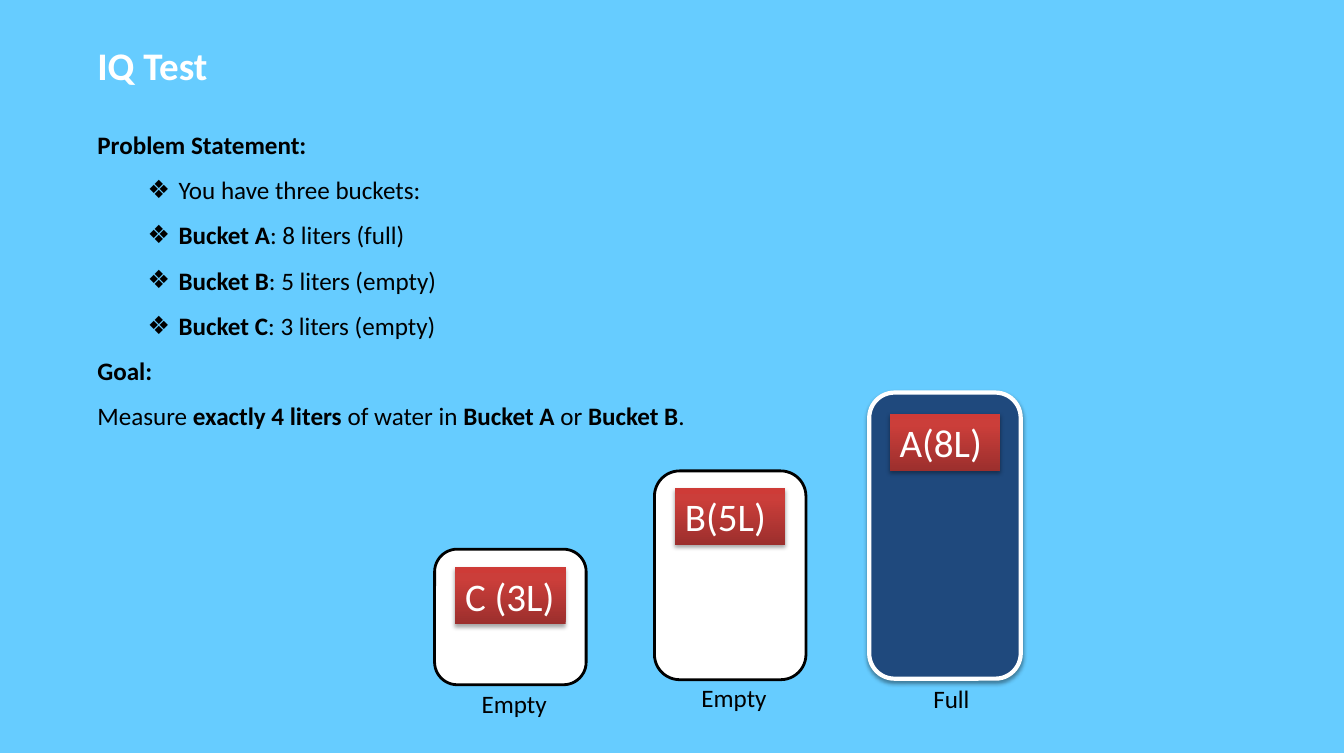
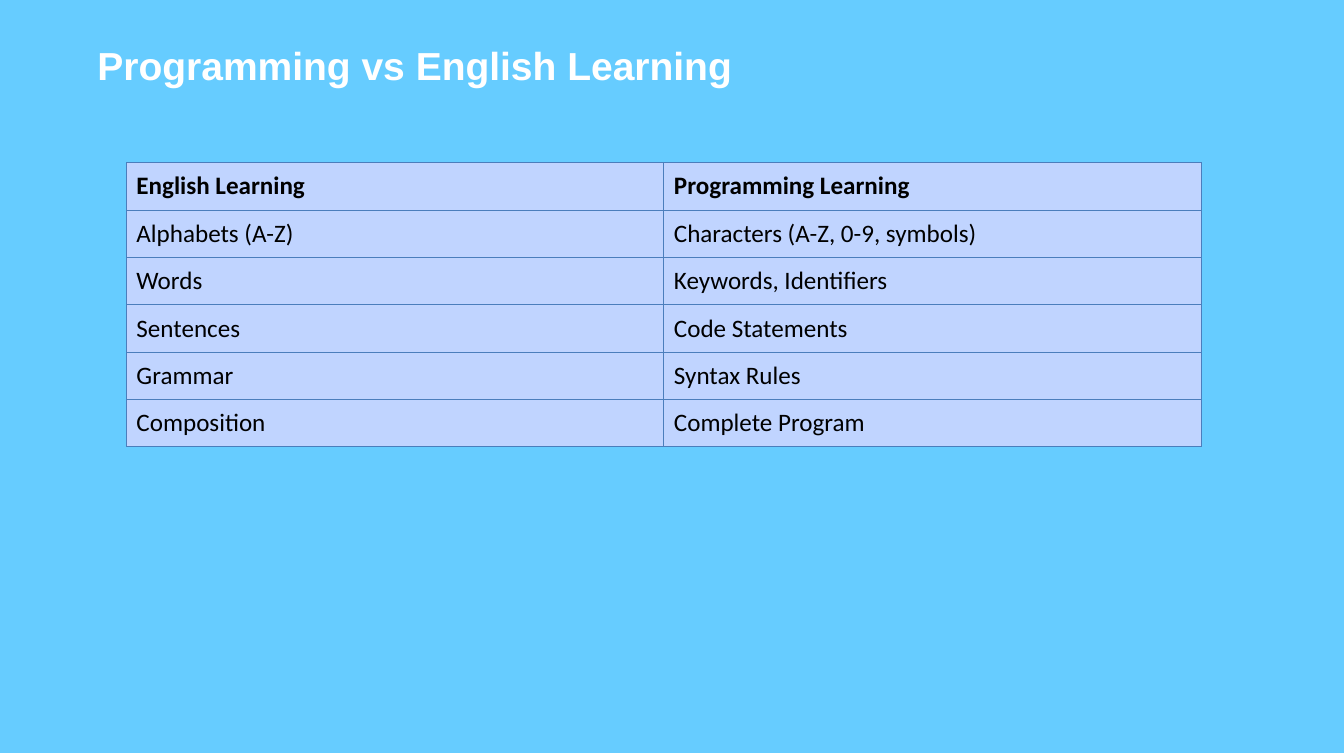
import copy

import pptx
import pptx.dml.color
import pptx.enum.shapes
import pptx.enum.text
import pptx.oxml
import pptx.oxml.ns
import pptx.util
from lxml import etree
from pptx.util import Inches

SKY, WHITE, BLACK, NAVY = "66CCFF", "FFFFFF", "000000", "1F497D"
CELL_FILL, CELL_BORDER = "C0D4FF", "4B7EBC"
TAG_STOPS = [(0, "9C2F2D"), (0.8, "CB3E3A"), (1, "CE3B37")]
FONT = "Calibri"
TAG_WIDTH, TAG_HEIGHT = 1.1, 0.57
BUCKET_WIDTH = 1.51

STATEMENT = [
    (0, [("Problem Statement:", True)]),
    (1, [("You have three buckets:", False)]),
    (1, [("Bucket A", True), (": 8 liters (full)", False)]),
    (1, [("Bucket B", True), (": 5 liters (empty)", False)]),
    (1, [("Bucket C", True), (": 3 liters (empty)", False)]),
    (0, [("Goal:", True)]),
    (0, [("Measure ", False), ("exactly 4 liters", True), (" of water in ", False),
         ("Bucket A", True), (" or ", False), ("Bucket B", True), (".", False)]),
]

COMPARISON = [
    ("English Learning", "Programming Learning"),
    ("Alphabets (A-Z)", "Characters (A-Z, 0-9, symbols)"),
    ("Words", "Keywords, Identifiers"),
    ("Sentences", "Code Statements"),
    ("Grammar", "Syntax Rules"),
    ("Composition", "Complete Program"),
]


def rgb(value):
    """Turn a hex string into a colour."""
    return pptx.dml.color.RGBColor.from_string(value)


def qualified(tag):
    """Return the full name of a drawing tag."""
    return pptx.oxml.ns.qn("a:" + tag)


def add_run(paragraph, text, size=18, color=BLACK, bold=False, font=FONT):
    """Append one formatted run."""
    run = paragraph.add_run()
    run.text = text
    run.font.name = font
    run.font.size = pptx.util.Pt(size)
    run.font.bold = bold
    run.font.color.rgb = rgb(color)


def place(shape, left, top, width, height):
    """Move and size a shape in inches."""
    shape.left, shape.top = Inches(left), Inches(top)
    shape.width, shape.height = Inches(width), Inches(height)


def set_frame(shape, wrap=True):
    """Give a text frame top anchoring and fit the shape to its text."""
    frame = shape.text_frame
    frame.word_wrap = wrap
    frame.auto_size = pptx.enum.text.MSO_AUTO_SIZE.SHAPE_TO_FIT_TEXT
    frame.vertical_anchor = pptx.enum.text.MSO_ANCHOR.TOP
    return frame


def add_slide(presentation, layout_index, title, title_width, font=FONT):
    """Add a slide with its white bold title."""
    slide = presentation.slides.add_slide(presentation.slide_layouts[layout_index])
    place(slide.shapes.title, 0.87, 0.36, title_width, 0.57)
    paragraph = set_frame(slide.shapes.title, wrap=False).paragraphs[0]
    paragraph.alignment = pptx.enum.text.PP_ALIGN.LEFT
    add_run(paragraph, title, 28, WHITE, True, font)
    return slide


def set_bullet(paragraph, level):
    """Give diamonds to second-level paragraphs and no bullet to others."""
    paragraph.level = level
    properties = paragraph._p.get_or_add_pPr()
    properties.set("marL", str(Inches(0.81 if level else 0)))
    properties.set("indent", str(Inches(-0.31 if level else 0)))
    if level:
        etree.SubElement(properties, qualified("buChar"), char="❖")
    else:
        etree.SubElement(properties, qualified("buNone"))


def fill_statement(body):
    """Write the problem statement into the body placeholder."""
    place(body, 0.87, 1.09, 8.98, 3.69)
    frame = set_frame(body)
    for index, (level, runs) in enumerate(STATEMENT):
        paragraph = frame.add_paragraph() if index else frame.paragraphs[0]
        set_bullet(paragraph, level)
        paragraph.line_spacing = 1.5
        paragraph.space_before = pptx.util.Pt(0)
        for text, bold in runs:
            add_run(paragraph, text, bold=bold)


def add_shadow(shape, opacity, distance):
    """Add a soft black shadow below a shape."""
    effects = shape._element.spPr.find(qualified("effectLst"))
    shadow = etree.SubElement(
        effects, qualified("outerShdw"), blurRad=str(pptx.util.Pt(3.1)),
        dist=str(pptx.util.Pt(distance)), dir="5400000", rotWithShape="0")
    color = etree.SubElement(shadow, qualified("srgbClr"), val=BLACK)
    etree.SubElement(color, qualified("alpha"), val=str(opacity * 1000))


def add_box(slide, kind, left, top, width, height):
    """Add a preset shape without a shadow."""
    shape = slide.shapes.add_shape(
        kind, Inches(left), Inches(top), Inches(width), Inches(height))
    shape.shadow.inherit = False
    return shape


def add_tag(slide, left, top, text):
    """Add a red gradient name tag."""
    tag = add_box(slide, pptx.enum.shapes.MSO_SHAPE.RECTANGLE,
                  left, top, TAG_WIDTH, TAG_HEIGHT)
    tag.fill.gradient()
    tag.fill.gradient_angle = 90
    stop_list = next(tag._element.spPr.iter(qualified("gsLst")))
    stop_list.append(copy.deepcopy(stop_list[-1]))
    for stop, (position, color) in zip(tag.fill.gradient_stops, TAG_STOPS):
        stop.position = position
        stop.color.rgb = rgb(color)
    tag.line.fill.background()
    add_shadow(tag, 35, 1.8)
    paragraph = set_frame(tag).paragraphs[0]
    paragraph.alignment = pptx.enum.text.PP_ALIGN.LEFT
    add_run(paragraph, text, 28, WHITE)


def add_bucket(slide, left, top, height, full=False):
    """Add a bucket, dark with a shadow when full."""
    bucket = add_box(slide, pptx.enum.shapes.MSO_SHAPE.ROUNDED_RECTANGLE,
                     left, top, BUCKET_WIDTH, height)
    bucket.fill.solid()
    bucket.fill.fore_color.rgb = rgb(NAVY if full else WHITE)
    bucket.line.color.rgb = rgb(WHITE if full else BLACK)
    bucket.line.width = pptx.util.Pt(3 if full else 2)
    if full:
        add_shadow(bucket, 38, 1.6)


def add_caption(slide, left, top, width, text):
    """Add the state of a bucket below it."""
    caption = slide.shapes.add_textbox(
        Inches(left), Inches(top), Inches(width), Inches(0.4))
    add_run(set_frame(caption).paragraphs[0], text)


def set_borders(cell):
    """Draw thin blue lines on all sides of a cell."""
    properties = cell._tc.get_or_add_tcPr()
    for side in ("lnL", "lnR", "lnT", "lnB"):
        line = etree.SubElement(
            properties, qualified(side), w=str(pptx.util.Pt(0.75)))
        fill = etree.SubElement(line, qualified("solidFill"))
        etree.SubElement(fill, qualified("srgbClr"), val=CELL_BORDER)


def add_comparison(slide):
    """Add the two-column comparison table."""
    table = slide.shapes.add_table(
        len(COMPARISON), 2, Inches(1.26), Inches(1.62),
        Inches(10.71), Inches(2.83)).table
    for row_index, row in enumerate(COMPARISON):
        for column_index, text in enumerate(row):
            cell = table.cell(row_index, column_index)
            set_borders(cell)
            cell.fill.solid()
            cell.fill.fore_color.rgb = rgb(CELL_FILL)
            cell.vertical_anchor = pptx.enum.text.MSO_ANCHOR.MIDDLE
            add_run(cell.text_frame.paragraphs[0], text, bold=row_index == 0)


def main():
    """Build and save the presentation."""
    presentation = pptx.Presentation()
    presentation.slide_width = Inches(13.39)
    presentation.slide_height = Inches(7.5)
    background = presentation.slide_master.background.fill
    background.solid()
    background.fore_color.rgb = rgb(SKY)

    puzzle = add_slide(presentation, 1, "IQ Test", 1.31)
    fill_statement(puzzle.placeholders[1])
    buckets = [
        (8.66, 3.91, 2.85, True, 4.12, "A(8L)"),
        (6.52, 4.69, 2.08, False, 4.86, "B(5L)"),
        (4.33, 5.47, 1.35, False, 5.65, "C (3L)"),
    ]
    for left, top, height, full, tag_top, name in buckets:
        add_bucket(puzzle, left, top, height, full)
        add_tag(puzzle, left + (BUCKET_WIDTH - TAG_WIDTH) / 2, tag_top, name)
    add_caption(puzzle, 4.7, 6.81, 1.36, "Empty")
    add_caption(puzzle, 6.89, 6.75, 0.86, "Empty")
    add_caption(puzzle, 9.2, 6.76, 0.57, "Full")

    comparison = add_slide(
        presentation, 5, "Programming vs English Learning", 6.6, "Arial")
    add_comparison(comparison)
    presentation.save("out.pptx")


if __name__ == "__main__":
    main()
